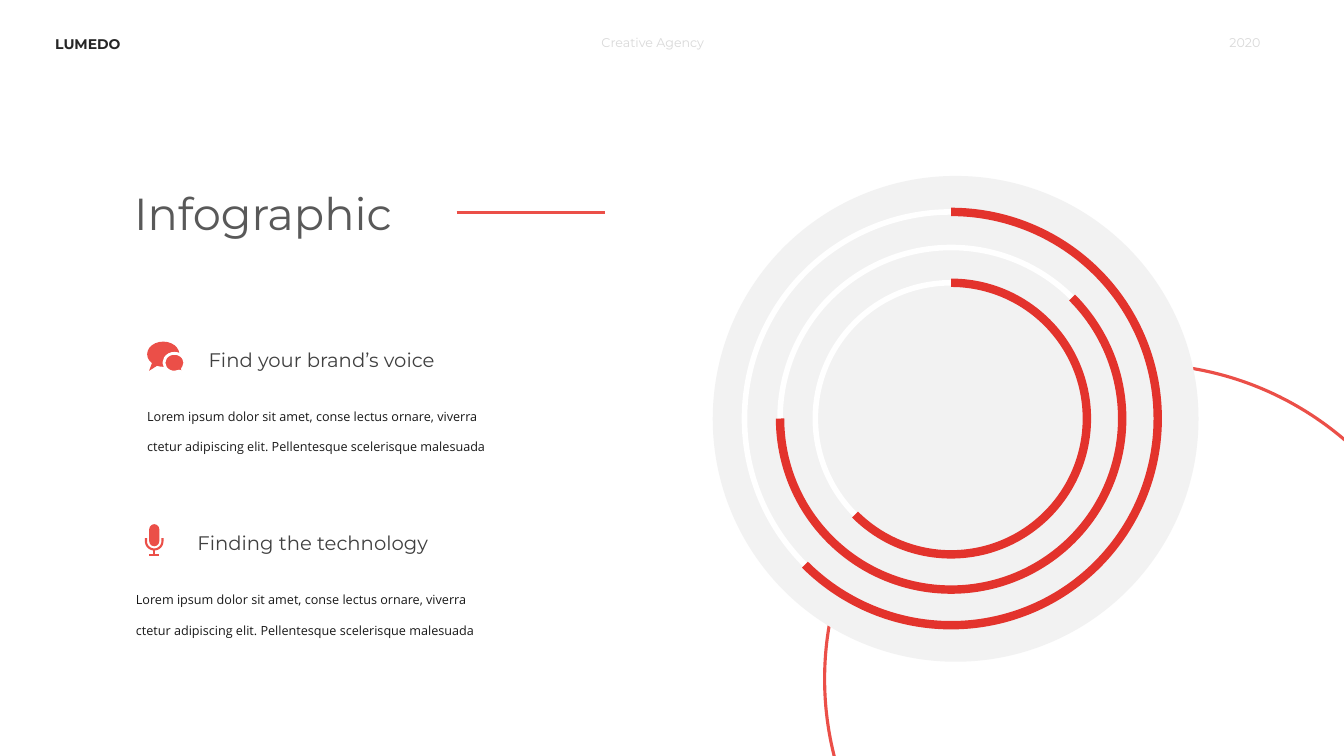
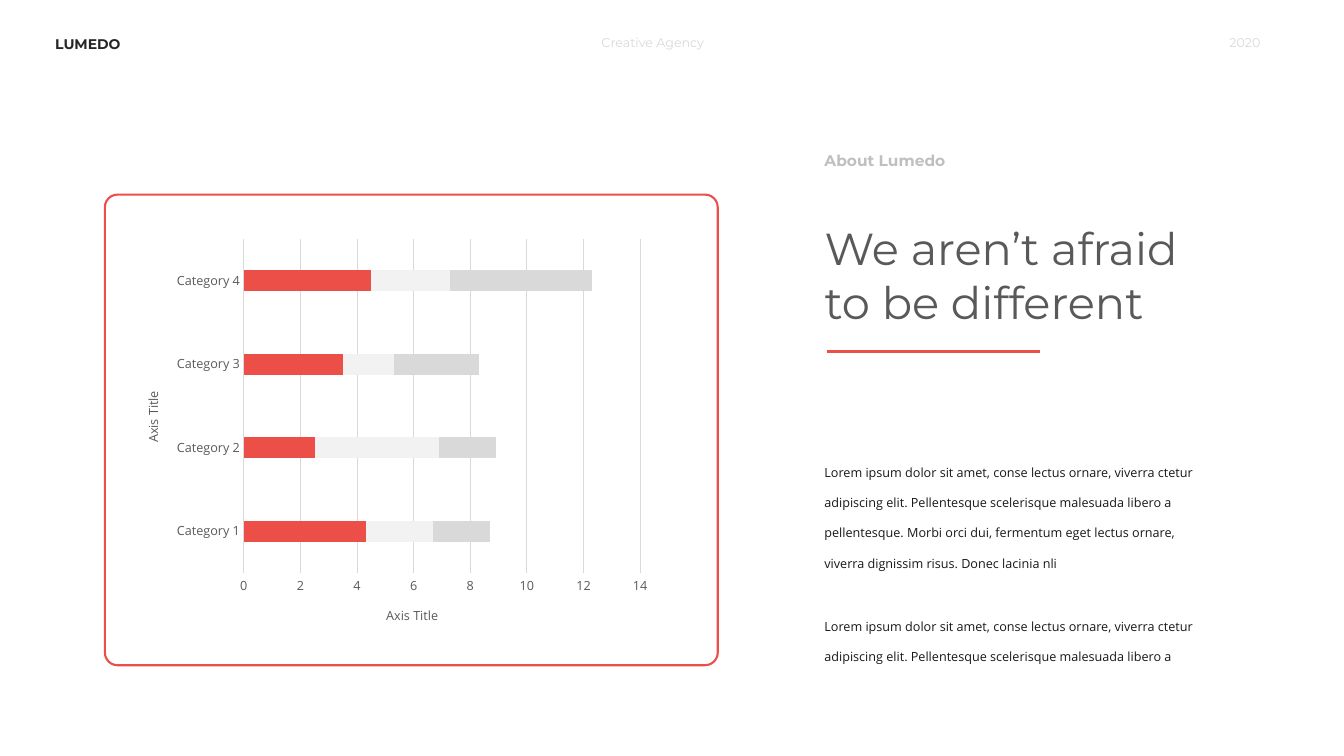
from math import cos, pi, sin
from pptx import Presentation, oxml, util as u
from pptx.chart.data import CategoryChartData
from pptx.dml.color import RGBColor
from pptx.enum import chart as ch, shapes, text as tx

Pt = u.Pt
KIND = shapes.MSO_SHAPE
HEAD, BODY = "Montserrat", "Open Sans"
RED, DEEP, WHITE = "EB4F48", "E3332C", "FFFFFF"
PALE, LIGHT, GREY = "F2F2F2", "D9D9D9", "595959"
INK, DARK, BLACK, MUTED = "181818", "404040", "262626", "BFBFBF"

LEFT, RIGHT = tx.PP_ALIGN.LEFT, tx.PP_ALIGN.RIGHT
TOP = [
    ("LUMEDO", 32.4, 77, 10, BLACK, True, LEFT),
    ("Creative Agency", 422.6, 114, 9, LIGHT, False, LEFT),
    ("2020", 793.4, 114, 9, LIGHT, False, RIGHT),
]
LOREM = ("Lorem ipsum dolor sit amet, conse lectus ornare, viverra ctetur "
         "adipiscing elit. Pellentesque scelerisque malesuada")
SHORT = LOREM + " libero a"
LONG = SHORT + (" pellentesque. Morbi orci dui, fermentum eget lectus ornare, "
                "viverra dignissim risus. Donec lacinia nli")
ITEMS = [
    ("Find your brand’s voice", 98, 244.8),
    ("Finding the technology", 90, 376),
]
HUB = (679.4, 299)
RINGS = [(147.6, 270, 135), (122.2, 315, 180), (97, 270, 135)]
CATS = ["Category 1", "Category 2", "Category 3", "Category 4"]
BARS = [
    ("Series 1", RED, (4.3, 2.5, 3.5, 4.5)),
    ("Series 2", PALE, (2.4, 4.4, 1.8, 2.8)),
    ("Series 3", LIGHT, (2, 2, 3, 5)),
]


def rgb(code):
    return RGBColor.from_string(code)


def style(font, size, color, face=HEAD, bold=False):
    font.name, font.size, font.bold = face, Pt(size), bold
    font.color.rgb = rgb(color)


def paint(shape, fill=None, line=None, width=1):
    shape.shadow.inherit = False
    if fill:
        shape.fill.solid()
        shape.fill.fore_color.rgb = rgb(fill)
    else:
        shape.fill.background()
    if line:
        shape.line.color.rgb = rgb(line)
        shape.line.width = Pt(width)
    else:
        shape.line.fill.background()
    return shape


def draw(slide, kind, box, fill=None, line=None, width=1, adj=()):
    shape = slide.shapes.add_shape(kind, *map(Pt, box))
    for i, val in enumerate(adj):
        shape.adjustments[i] = val
    return paint(shape, fill, line, width)


def rule(slide, x1, y1, x2, y2, width=2.25):
    line = slide.shapes.add_connector(
        shapes.MSO_CONNECTOR.STRAIGHT, *map(Pt, (x1, y1, x2, y2)))
    line.line.color.rgb = rgb(RED)
    line.line.width = Pt(width)
    line._element.spPr.append(oxml.xmlchemy.OxmlElement("a:effectLst"))


def fill_in(shape, words, size, color, face=HEAD, bold=False,
            align=LEFT, space=None):
    frame = shape.text_frame
    frame.word_wrap = True
    frame.auto_size = tx.MSO_AUTO_SIZE.NONE
    frame.vertical_anchor = tx.MSO_ANCHOR.TOP
    para = frame.paragraphs[0]
    para.text = words
    para.alignment = align
    if space:
        para.line_spacing = space
    style(para.font, size, color, face, bold)


def label(slide, box, words, *args, **more):
    fill_in(slide.shapes.add_textbox(*map(Pt, box)), words, *args, **more)


def body(slide, box, words):
    label(slide, box, words, 9, INK, BODY, space=2.0)


def start(deck, title, box):
    slide = deck.slides.add_slide(deck.slide_layouts[5])
    head = slide.shapes.title
    head.left, head.top, head.width, head.height = map(Pt, box)
    fill_in(head, title, 32, GREY)
    for words, x, w, size, color, bold, align in TOP:
        label(slide, (x, 21.6, w, 19), words, size, color,
              bold=bold, align=align)
    return slide


def disc(mid, r):
    return mid[0] - r, mid[1] - r, 2 * r, 2 * r


def dial(slide):
    draw(slide, KIND.OVAL, disc((682.6, 299.2), 173.5), PALE)
    for r, _, _ in RINGS:
        draw(slide, KIND.OVAL, disc(HUB, r), None, WHITE, 4)
    for r, a, b in RINGS:
        draw(slide, KIND.ARC, disc(HUB, r), None, DEEP, 6,
             (a * 0.6, b * 0.6))


def chat(slide):
    kind = KIND.OVAL_CALLOUT
    draw(slide, kind, (105.1, 244, 23, 18), RED, adj=(-0.44, 0.66))
    draw(slide, kind, (117.1, 252.4, 15, 13.5), RED, WHITE, 2, (0.47, 0.58))


def mic(slide):
    x, y, r = 110.2, 386.6, 5.9
    draw(slide, KIND.ROUNDED_RECTANGLE, (x - 3.6, 374.4, 7.2, 15.8),
         RED, adj=(0.5,))
    curve = [(x - r * cos(pi * i / 24), y + r * sin(pi * i / 24))
             for i in range(25)]
    pen = slide.shapes.build_freeform(Pt(x - r), Pt(y - 2.2))
    pen.add_line_segments(
        [(Pt(a), Pt(b)) for a, b in curve + [(x + r, y - 2.2)]], close=False)
    paint(pen.convert_to_shape(), None, RED, 1.5)
    rule(slide, x, y + r, x, 396.7, 1.5)
    rule(slide, x - 3.6, 396.7, x + 3.6, 396.7, 1.5)


def graph(slide, box):
    data = CategoryChartData()
    data.categories = CATS
    for name, _, vals in BARS:
        data.add_series(name, vals)
    chart = slide.shapes.add_chart(
        ch.XL_CHART_TYPE.BAR_STACKED, *map(Pt, box), data).chart
    chart.has_title = chart.has_legend = False
    style(chart.font, 9, GREY, BODY)
    plot = chart.plots[0]
    plot.gap_width, plot.overlap = 300, 100
    plot.vary_by_categories = False
    for bar, (_, color, _) in zip(plot.series, BARS):
        bar.format.fill.solid()
        bar.format.fill.fore_color.rgb = rgb(color)
    cat, val = chart.category_axis, chart.value_axis
    for axis, turn in ((cat, "-5400000"), (val, "0")):
        frame = axis.axis_title.text_frame
        frame.text = "Axis Title"
        frame._txBody.bodyPr.set("rot", turn)
        frame._txBody.bodyPr.set("vert", "horz")
        style(frame.paragraphs[0].font, 9, GREY, BODY)
        style(axis.tick_labels.font, 9, GREY, BODY)
        axis.major_tick_mark = ch.XL_TICK_MARK.NONE
    cat.has_major_gridlines = False
    val.has_major_gridlines = True
    for line in (cat.format.line, val.major_gridlines.format.line):
        line.color.rgb = rgb(LIGHT)
        line.width = Pt(0.75)
    val.format.line.fill.background()
    val.minimum_scale, val.maximum_scale, val.major_unit = 0, 14, 2


def rings(deck):
    slide = start(deck, "Infographic", (88.6, 128.9, 222, 46))
    draw(slide, KIND.OVAL, (589, 260, 450, 450), None, RED, 2.25)
    dial(slide)
    for words, x, y in ITEMS:
        label(slide, (x + 43.9, y, 212, 24), words, 14, DARK)
        body(slide, (x, y + 32.6, 260.6, 47.5), LOREM)
    chat(slide)
    mic(slide)
    rule(slide, 326.2, 151.9, 432, 151.9)


def about(deck):
    x = 581.8
    slide = start(deck, "We aren’t afraid to be different",
                  (x, 154.1, 303.8, 85))
    draw(slide, KIND.ROUNDED_RECTANGLE, (74.9, 139, 437.8, 336.2),
         WHITE, RED, 1.5, (0.027,))
    graph(slide, (87.8, 164.9, 382.3, 295.9))
    label(slide, (x, 104.4, 110, 21), "About Lumedo", 11, MUTED, bold=True)
    rule(slide, 590.4, 251.3, 743, 251.3)
    body(slide, (x, 317.5, 290.9, 91.4), LONG)
    body(slide, (x, 427.7, 290.9, 47.5), SHORT)


def main():
    deck = Presentation()
    deck.slide_width, deck.slide_height = Pt(960), Pt(540)
    rings(deck)
    about(deck)
    deck.save("out.pptx")


if __name__ == "__main__":
    main()
